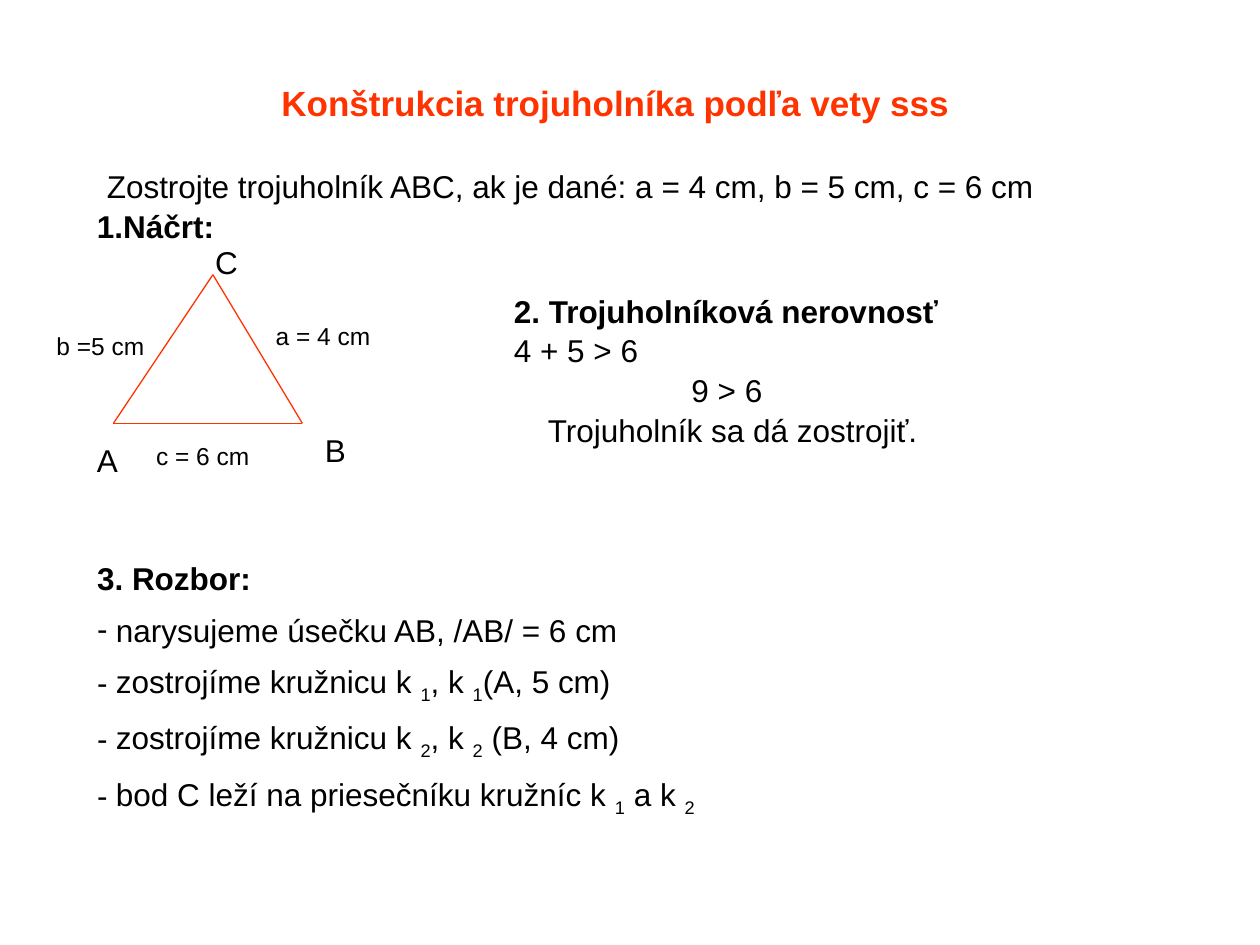
from itertools import combinations

from lxml.etree import SubElement
from pptx import Presentation
from pptx.dml.color import RGBColor
from pptx.enum.shapes import MSO_CONNECTOR as Connector
from pptx.enum.text import MSO_ANCHOR as Anchor, MSO_AUTO_SIZE as AutoSize, PP_ALIGN as Align
from pptx.oxml.ns import qn
from pptx.util import Inches, Pt

COLORS = {"accent": "FF3300", "text": "000000"}
FONT = "Arial"

TITLE = "Konštrukcia trojuholníka podľa vety sss"
TASK = "Zostrojte trojuholník ABC, ak je dané: a = 4 cm, b = 5 cm, c = 6 cm"
SKETCH = "1.Náčrt:"
INEQUALITY = [
    ("2. Trojuholníková nerovnosť", 0, True),
    ("4 + 5 > 6", 0, False),
    ("9 > 6", 1.41, False),
    ("Trojuholník sa dá zostrojiť.", 0.27, False),
]
ANALYSIS = "3. Rozbor:"
STEPS = [
    ["narysujeme úsečku AB, /AB/ = 6 cm"],
    ["zostrojíme kružnicu k ", "1", ", k ", "1", "(A, 5 cm)"],
    ["zostrojíme kružnicu k ", "2", ", k ", "2", " (B, 4 cm)"],
    ["bod C leží na priesečníku kružníc k ", "1", " a k ", "2"],
]
VERTICES = {"A": (0.9, 3.36), "B": (2.4, 3.36), "C": (1.69, 2.18)}
LABELS = [
    ("A", 0.67, 3.45, 0.47, 18),
    ("B", 2.48, 3.37, 0.47, 18),
    ("C", 1.61, 1.88, 0.47, 18),
    ("a = 4 cm", 2.09, 2.5, 1.1, 14),
    ("b =5 cm", 0.35, 2.58, 1.3, 14),
    ("c = 6 cm", 1.14, 3.45, 1.1, 14),
]


def style(paragraph, size=18, bold=False, color="text"):
    font = paragraph.font
    font.name, font.size, font.bold = FONT, Pt(size), bold
    font.color.rgb = RGBColor.from_string(COLORS[color])


def indent(paragraph, left, bullet=None):
    properties = paragraph._p.get_or_add_pPr()
    properties.set("marL", str(Inches(left)))
    properties.set("indent", str(-Inches(left) if bullet else 0))
    if bullet:
        SubElement(properties, qn("a:buChar")).set("char", bullet)
    else:
        SubElement(properties, qn("a:buNone"))


def place(shape, left, top, width, height):
    shape.left, shape.top = Inches(left), Inches(top)
    shape.width, shape.height = Inches(width), Inches(height)
    frame = shape.text_frame
    frame.word_wrap, frame.auto_size = True, AutoSize.NONE
    frame.vertical_anchor = Anchor.TOP
    return frame


def add_text(slide, text, left, top, width, size=18, bold=False):
    box = slide.shapes.add_textbox(0, 0, 0, 0)
    paragraph = place(box, left, top, width, 0.4).paragraphs[0]
    paragraph.text = text
    style(paragraph, size, bold)


def add_triangle(slide):
    for start, end in combinations(VERTICES.values(), 2):
        side = slide.shapes.add_connector(
            Connector.STRAIGHT, *(Inches(value) for value in start + end))
        side.line.color.rgb = RGBColor.from_string(COLORS["accent"])
        side.line.width = Pt(0.75)
        SubElement(side._element.spPr, qn("a:effectLst"))


def add_inequality(slide):
    box = slide.shapes.add_textbox(0, 0, 0, 0)
    frame = place(box, 3.98, 2.25, 4.8, 1.4)
    for index, (text, left, bold) in enumerate(INEQUALITY):
        paragraph = frame.add_paragraph() if index else frame.paragraphs[0]
        paragraph.text = text
        paragraph.line_spacing = 1.05
        indent(paragraph, left)
        style(paragraph, bold=bold)


def fill_analysis(body):
    frame = place(body, 0.67, 4.39, 7.1, 2.1)
    heading = frame.paragraphs[0]
    heading.text = ANALYSIS
    heading.space_before = Pt(0)
    indent(heading, 0)
    style(heading, bold=True)
    for step in STEPS:
        paragraph = frame.add_paragraph()
        paragraph.space_before = Pt(7.7)
        indent(paragraph, 0.15, "-")
        style(paragraph)
        for text in step:
            run = paragraph.add_run()
            run.text = text
            if text.isdigit():
                run.font._element.set("baseline", "-25000")


def main():
    deck = Presentation()
    deck.slide_width, deck.slide_height = Inches(10), Inches(7.5)
    slide = deck.slides.add_slide(deck.slide_layouts[1])

    title = place(slide.shapes.title, 0.83, 0.6, 8.11, 0.44).paragraphs[0]
    title.text = TITLE
    title.alignment = Align.CENTER
    style(title, 20, True, "accent")

    add_text(slide, TASK, 0.75, 1.28, 8.5)
    add_text(slide, SKETCH, 0.67, 1.59, 2.36, bold=True)
    add_triangle(slide)
    for label in LABELS:
        add_text(slide, *label)
    add_inequality(slide)
    fill_analysis(slide.placeholders[1])
    deck.save("out.pptx")


if __name__ == "__main__":
    main()
